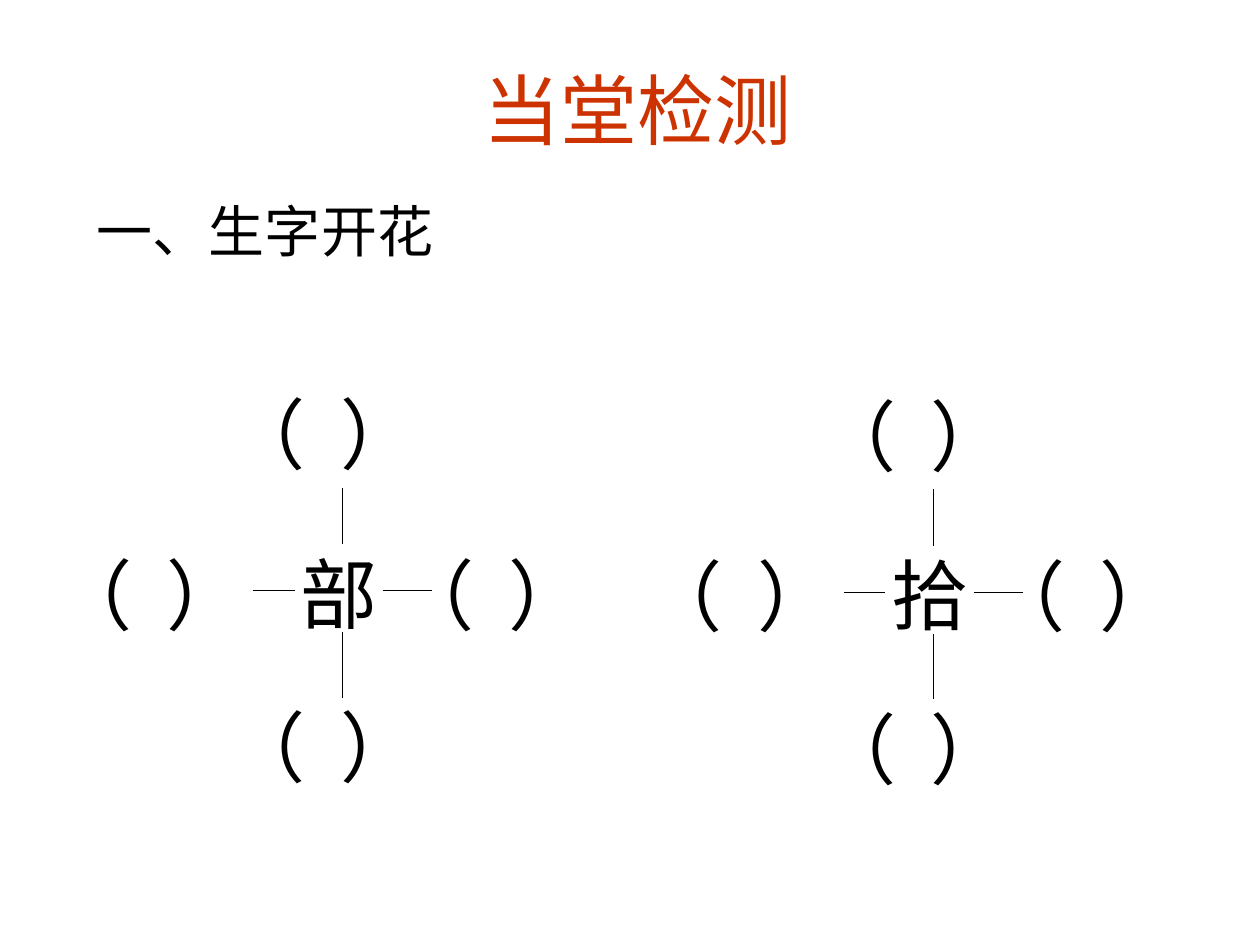
import pptx
import pptx.util
import pptx.dml.color
import pptx.enum.shapes
import pptx.enum.text
import pptx.oxml
from dataclasses import dataclass
from pptx.util import Cm


@dataclass(frozen=True)
class Theme:
    font: str = "Arial"
    red: str = "CC3300"
    ink: str = "000000"
    big: int = 44
    mid: int = 32
    line: float = 0.75


THEME = Theme()
BLANK = "（  ）"
BLANKS = [(3.5, 0), (0, 3.24), (3.5, 6.31), (6.9, 3.24)]
STEMS = [
    (6.05, 2.16, 6.05, 3.3),
    (6.05, 5.08, 6.05, 6.4),
    (4.24, 4.24, 5.08, 4.24),
    (6.86, 4.24, 7.85, 4.24),
]
FLOWERS = [("部", 0.86, 7.67), ("拾", 12.77, 7.7)]


def rgb(tone):
    return pptx.dml.color.RGBColor.from_string(tone)


def write(shape, text, box, size, tone):
    shape.left, shape.top, shape.width, shape.height = map(Cm, box)
    frame = shape.text_frame
    frame.text = text
    frame.word_wrap = False
    frame.auto_size = pptx.enum.text.MSO_AUTO_SIZE.NONE
    frame.vertical_anchor = pptx.enum.text.MSO_ANCHOR.TOP
    para = frame.paragraphs[0]
    para.alignment = pptx.enum.text.PP_ALIGN.LEFT
    para.space_before = pptx.util.Pt(0)
    para.font.name = THEME.font
    para.font.size = pptx.util.Pt(size)
    para.font.color.rgb = rgb(tone)
    return para


def label(shapes, text, box):
    write(shapes.add_textbox(0, 0, 0, 0), text, box, THEME.big, THEME.ink)


def stem(shapes, ends):
    kind = pptx.enum.shapes.MSO_CONNECTOR.STRAIGHT
    line = shapes.add_connector(kind, *map(Cm, ends))
    line.line.color.rgb = rgb(THEME.ink)
    line.line.width = pptx.util.Pt(THEME.line)
    props = line._element.spPr
    props.append(pptx.oxml.parse_xml(
        '<a:effectLst xmlns:a="http://schemas.openxmlformats.org/drawingml/2006/main"/>'))


def header(slide):
    write(slide.shapes.title, "当堂检测", (9.5, 1.13, 7.2, 2.13),
          THEME.big, THEME.red)
    body = slide.placeholders[1]
    para = write(body, "一、生字开花", (1.7, 3.84, 7.6, 1.63),
                 THEME.mid, THEME.ink)
    props = para._p.get_or_add_pPr()
    props.set("marL", "0")
    props.set("indent", "0")
    bullet = pptx.oxml.parse_xml(
        '<a:buNone xmlns:a="http://schemas.openxmlformats.org/drawingml/2006/main"/>')
    props.insert_element_before(bullet, "a:tabLst", "a:defRPr", "a:extLst")


def flower(slide, word, left, top):
    label(slide.shapes, word, (left + 4.95, top + 3.22, 2.06, 2.13))
    group = slide.shapes.add_group_shape()
    for x1, y1, x2, y2 in STEMS:
        stem(group.shapes, (left + x1, top + y1, left + x2, top + y2))
    for x, y in BLANKS:
        label(group.shapes, BLANK, (left + x, top + y, 5.16, 2.13))


def main():
    deck = pptx.Presentation()
    deck.slide_width, deck.slide_height = Cm(25.4), Cm(19.05)
    slide = deck.slides.add_slide(deck.slide_layouts[1])
    header(slide)
    for word, left, top in FLOWERS:
        flower(slide, word, left, top)
    deck.save("out.pptx")


if __name__ == "__main__":
    main()
